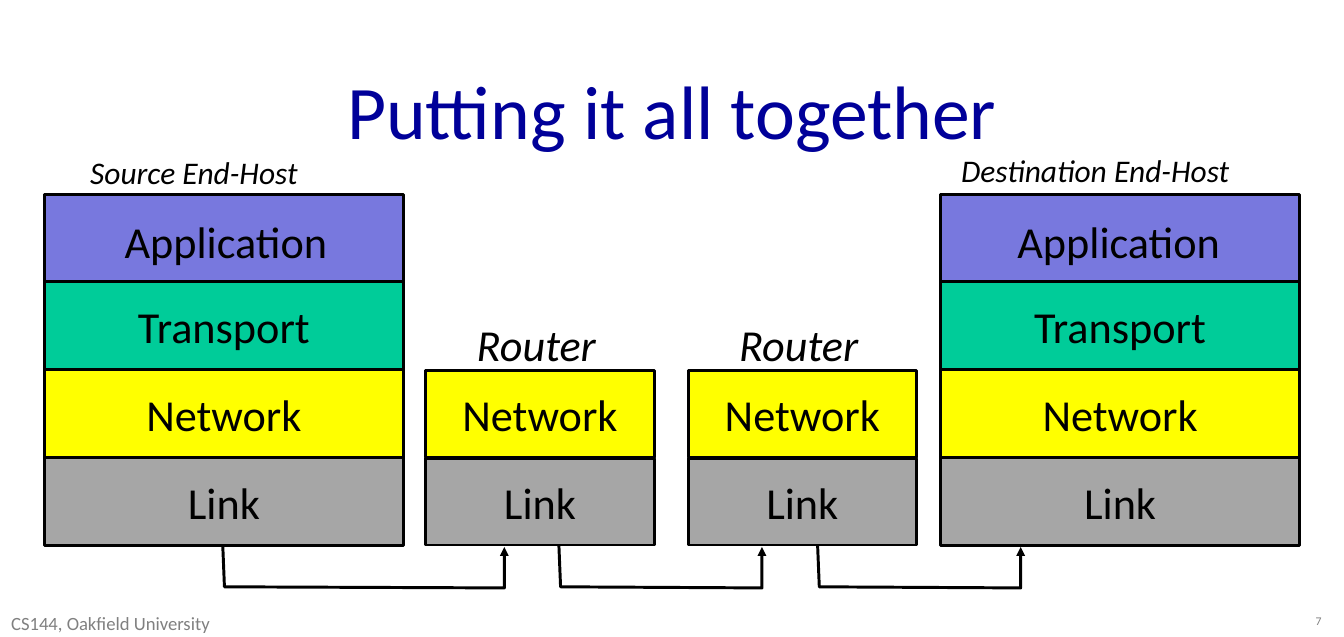
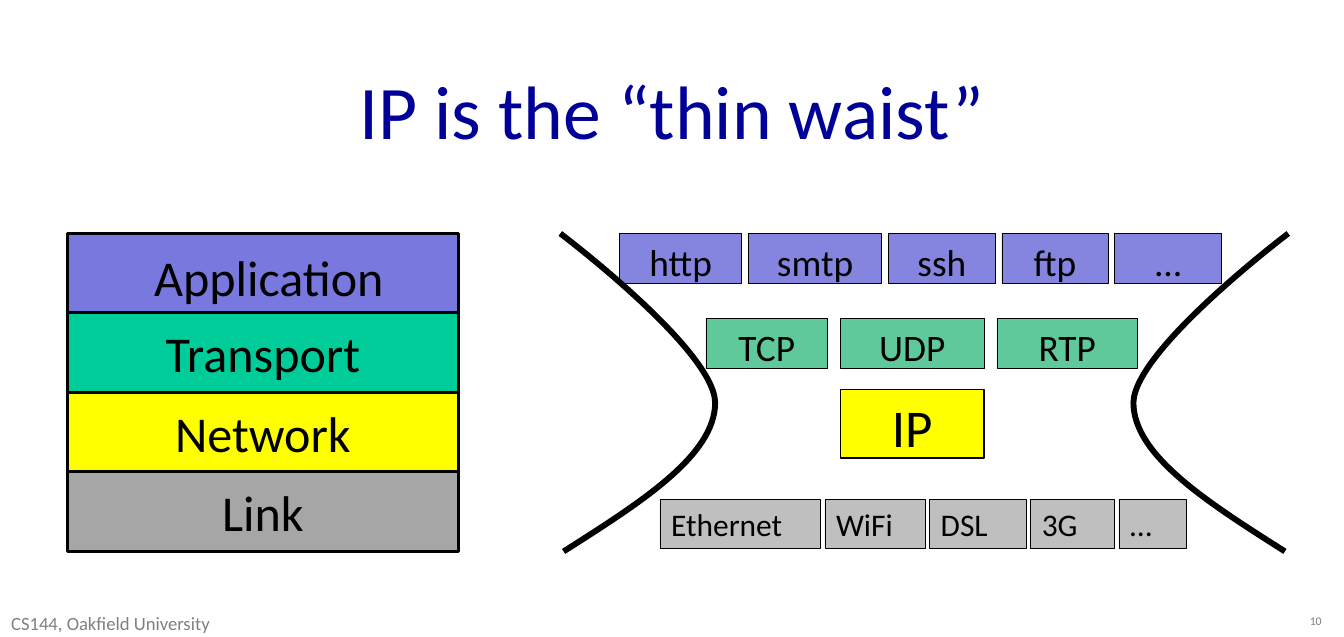
import dataclasses

import lxml.etree
import pptx
import pptx.dml.color
import pptx.enum.shapes
import pptx.enum.text
import pptx.oxml.ns
import pptx.oxml.xmlchemy
import pptx.util

Cm = pptx.util.Cm
Align = pptx.enum.text.PP_ALIGN
Anchor = pptx.enum.text.MSO_ANCHOR


@dataclasses.dataclass(frozen=True)
class Theme:
    font: str = "Calibri"
    title: str = "000099"
    muted: str = "808080"
    ink: str = "000000"
    application: str = "7878DE"
    transport: str = "00CC99"
    network: str = "FFFF00"
    link: str = "A6A6A6"
    application_chip: str = "8585E0"
    transport_chip: str = "60C99C"
    link_chip: str = "BFBFBF"
    title_size: int = 77
    waist_size: int = 54
    big_layer_size: int = 51
    layer_size: int = 45
    chip_size: int = 38
    small_size: int = 32
    footer_size: int = 19
    number_size: int = 12
    thin: float = 0.75
    medium: float = 1.5
    thick: float = 3
    heavy: float = 6


THEME = Theme()
FOOTER = "CS144, Oakfield University"
LAYERS = (
    ("Application", THEME.application),
    ("Transport", THEME.transport),
    ("Network", THEME.network),
    ("Link", THEME.link),
)


def rgb(color):
    return pptx.dml.color.RGBColor.from_string(color)


class Deck:
    def __init__(self):
        self.deck = pptx.Presentation()
        self.deck.slide_width, self.deck.slide_height = Cm(48.26), Cm(22.86)
        self.page = None

    def start_page(self, title, number):
        self.page = self.deck.slides.add_slide(self.deck.slide_layouts[6])
        self.text(title, 3.63, 2.03, 41.02, 3.81, THEME.title_size, THEME.title,
                  align=Align.CENTER, anchor=Anchor.MIDDLE)
        self.text(FOOTER, 0, 21.77, 15.29, 1.09, THEME.footer_size, THEME.muted)
        self.text(number, 37.8, 21.84, 10.06, 1.02, THEME.number_size,
                  THEME.muted, align=Align.RIGHT)

    def add_words(self, box, words, size, color=THEME.ink, align=Align.LEFT,
                  anchor=Anchor.TOP, italic=False, nudge=(0, 0)):
        """Fill a shape with one run; nudge moves centred text right and down."""
        frame = box.text_frame
        frame.word_wrap = True
        frame.vertical_anchor = anchor
        frame.margin_left = Cm(0.4 + max(2 * nudge[0], 0))
        frame.margin_right = Cm(0.4 + max(-2 * nudge[0], 0))
        frame.margin_top, frame.margin_bottom = Cm(0.2 + 2 * nudge[1]), Cm(0.2)
        para = frame.paragraphs[0]
        para.alignment = align
        span = para.add_run()
        span.text = words
        span.font.name = THEME.font
        span.font.size = pptx.util.Pt(size)
        span.font.italic = italic
        span.font.color.rgb = rgb(color)

    def text(self, words, left, top, width, height, size, color=THEME.ink, **style):
        box = self.page.shapes.add_textbox(Cm(left), Cm(top), Cm(width), Cm(height))
        self.add_words(box, words, size, color, **style)

    def outline(self, shape, weight):
        shape.shadow.inherit = False
        shape.line.color.rgb = rgb(THEME.ink)
        shape.line.width = pptx.util.Pt(weight)

    def block(self, words, left, top, width, height, fill, size, weight, **style):
        box = self.page.shapes.add_shape(
            pptx.enum.shapes.MSO_SHAPE.RECTANGLE,
            Cm(left), Cm(top), Cm(width), Cm(height))
        box.fill.solid()
        box.fill.fore_color.rgb = rgb(fill)
        self.outline(box, weight)
        self.add_words(box, words, size, **style)

    def stack(self, layers, left, top, width, pitch, size, gap=0, nudge=(0, 0)):
        """Pile layers downwards; nudge applies to the Application text."""
        for row, (name, fill) in enumerate(layers):
            self.block(name, left, top + row * pitch, width, pitch - gap, fill,
                       size, THEME.thick, align=Align.CENTER, anchor=Anchor.MIDDLE,
                       nudge=nudge if name == "Application" else (0, 0))

    def chips(self, chips, left, top, gap, fill, size, align=Align.CENTER):
        """Set a row of (name, width) chips with equal gaps."""
        for name, width in chips:
            self.block(name, left, top, width, 1.78, fill, size, THEME.thin,
                       align=align)
            left += width + gap

    def open_line(self, points, weight):
        start, *rest = [(Cm(x), Cm(y)) for x, y in points]
        builder = self.page.shapes.build_freeform(*start)
        builder.add_line_segments(rest, close=False)
        shape = builder.convert_to_shape()
        shape.fill.background()
        self.outline(shape, weight)
        return shape

    def hop(self, start, end):
        """Draw an arrow under the stacks from one Link layer to the next."""
        shape = self.open_line(
            [(start, 19.58), (start + 0.06, 21.06), (end, 21.1), (end, 19.63)],
            THEME.thick)
        line = shape.element.xpath(".//a:ln")[0]
        lxml.etree.SubElement(line, pptx.oxml.ns.qn("a:tailEnd"), type="triangle")

    def curve(self, points, weight):
        """Draw cubic curves: a start, then two controls and an end for each."""
        segments = self.open_line(points, weight).element.xpath(".//a:lnTo")
        for first in range(0, len(segments), 3):
            bezier = pptx.oxml.xmlchemy.OxmlElement("a:cubicBezTo")
            segments[first].addprevious(bezier)
            for segment in segments[first:first + 3]:
                bezier.append(segment[0])
                segment.getparent().remove(segment)


def build_path_page(deck):
    deck.start_page("Putting it all together", "7")
    for left, nudge in ((1.6, (0.07, 0.11)), (33.78, (-0.05, 0.11))):
        deck.stack(LAYERS, left, 6.97, 12.88, 3.15, THEME.layer_size, nudge=nudge)
    for left in (15.29, 24.71):
        deck.stack(LAYERS[2:], left, 13.31, 8.2, 3.15, THEME.layer_size, gap=0.05)
        deck.text("Router", left + 1.43, 11.18, 5.6, 2.31, THEME.layer_size,
                  italic=True)
    deck.text("Source End-Host", 2.84, 5.28, 8.8, 1.75, THEME.small_size, italic=True)
    deck.text("Destination End-Host", 34.11, 5.21, 10.8, 1.75, THEME.small_size,
              italic=True)
    for start, end in ((8, 18.11), (20.07, 27.36), (29.36, 36.65)):
        deck.hop(start, end)


def build_waist_page(deck):
    deck.start_page("IP is the “thin waist”", "10")
    deck.stack(LAYERS, 2.41, 8.38, 14.07, 2.85, THEME.big_layer_size,
               nudge=(0.21, 0.1))
    deck.block("IP", 30.18, 13.97, 5.16, 2.46, THEME.network, THEME.waist_size,
               THEME.medium, align=Align.CENTER)
    deck.chips((("http", 4.39), ("smtp", 4.78), ("ssh", 3.84), ("ftp", 3.81),
                ("…", 3.84)),
               22.25, 8.38, 0.24, THEME.application_chip, THEME.chip_size)
    deck.chips((("TCP", 4.37), ("UDP", 5.16), ("RTP", 5.05)),
               25.35, 11.43, 0.46, THEME.transport_chip, THEME.chip_size)
    deck.chips((("Ethernet", 5.77), ("WiFi", 3.61), ("DSL", 3.48), ("3G", 3.02),
                ("…", 2.41)),
               23.7, 17.91, 0.15, THEME.link_chip, THEME.small_size, Align.LEFT)
    left_side = ((20.24, 19.79), (22.96, 18.06), (25.68, 16.36), (25.68, 14.45),
                 (25.65, 12.55), (20.12, 8.38), (20.12, 8.38))
    mirror = 33.19
    right_side = [(2 * mirror - x, y) for x, y in left_side]
    for side in (left_side, right_side):
        deck.curve(side, THEME.heavy)


def main():
    deck = Deck()
    build_path_page(deck)
    build_waist_page(deck)
    deck.deck.save("out.pptx")


if __name__ == "__main__":
    main()
